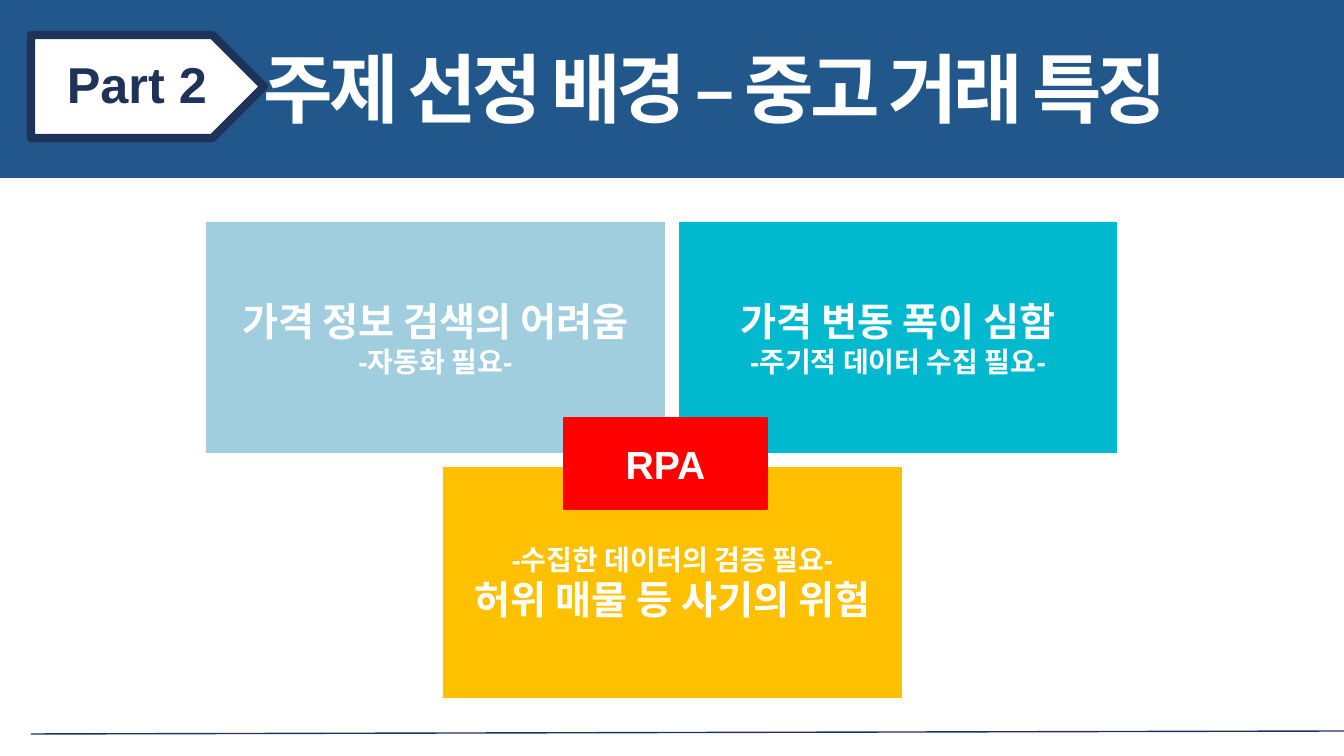
from lxml.etree import SubElement
from pptx import Presentation
from pptx.dml.color import RGBColor
from pptx.enum.shapes import MSO_CONNECTOR, MSO_SHAPE
from pptx.enum.text import MSO_ANCHOR, PP_ALIGN
from pptx.oxml.ns import qn
from pptx.util import Pt

PX = 914400 / 100.8
NAVY, BLUE, WHITE, RED = "1F3359", "22578B", "FFFFFF", "FF0000"


def px(*values):
    """Turn pixels into EMU."""
    return [round(v * PX) for v in values]


def color(value):
    """Turn a hex string into a colour."""
    return RGBColor.from_string(value)


def add_block(s, box, fill, line=None, width=1, kind=MSO_SHAPE.RECTANGLE):
    """Add a filled shape, with an outline if a line colour is given."""
    sp = s.shapes.add_shape(kind, *px(*box))
    sp.shadow.inherit = False
    sp.fill.solid()
    sp.fill.fore_color.rgb = color(fill)
    if line:
        sp.line.color.rgb = color(line)
        sp.line.width = Pt(width)
    else:
        sp.line.fill.background()
    return sp


def write(sp, lines, hue=WHITE, align=PP_ALIGN.CENTER, spacing=0, **frame):
    """Write bold lines of (text, size) into a shape."""
    tf = sp.text_frame
    for name, value in ({"word_wrap": True} | frame).items():
        setattr(tf, name, value)
    for i, (text, size) in enumerate(lines):
        p = tf.add_paragraph() if i else tf.paragraphs[0]
        p.alignment = align
        r = p.add_run()
        r.text = text
        for name, value in {"name": "Arial", "size": Pt(size), "bold": True}.items():
            setattr(r.font, name, value)
        r.font.color.rgb = color(hue)
        if spacing:
            r._r.get_or_add_rPr().set("spc", str(spacing * 100))


def add_header(s, x, y, w, h):
    """Build the title band with its part tag."""
    add_block(s, (x, y, w, h), BLUE)
    add_block(s, (x + 31, y + 35, 233, 103), WHITE, NAVY, 6, MSO_SHAPE.PENTAGON)
    tag = s.shapes.add_textbox(*px(x + 57, y + 48, 161, 72))
    write(tag, [("Part 2", 36)], NAVY, PP_ALIGN.LEFT, word_wrap=False)
    title = s.shapes.add_textbox(*px(x + 254, y + 37, 1105, 103))
    write(title, [("주제 선정 배경 – 중고 거래 특징", 54)], align=PP_ALIGN.LEFT, spacing=-3)


def add_features(s, x, y, w, h):
    """Build the three feature cards and the RPA label where they meet."""
    gap, wide = 14, 459
    card_h = (h - gap) // 2
    right = wide + gap
    low = card_h + gap
    cards = [
        (0, 0, wide, "A0CEDE", [("가격 정보 검색의 어려움", 28), ("-자동화 필요-", 20)]),
        (right, 0, w - right, "00B9CE",
         [("가격 변동 폭이 심함", 28), ("-주기적 데이터 수집 필요-", 20)]),
        (right // 2 + 1, low, wide, "FFC000",
         [("-수집한 데이터의 검증 필요-", 20), ("허위 매물 등 사기의 위험", 28)]),
    ]
    for dx, dy, card_w, fill, lines in cards:
        sp = add_block(s, (x + dx, y + dy, card_w, card_h), fill)
        write(sp, lines, vertical_anchor=MSO_ANCHOR.MIDDLE)
    sp = add_block(s, (x + 358, y + 196, 203, 91), RED, RED)
    write(sp, [("RPA", 28)], vertical_anchor=MSO_ANCHOR.MIDDLE)


def add_footer(s, x, y, w, h):
    """Draw the thin rule that rises to the right edge."""
    rule = s.shapes.add_connector(MSO_CONNECTOR.STRAIGHT, *px(x, y + h, x + w, y))
    rule.line.color.rgb = color(NAVY)
    rule.line.width = Pt(1)
    SubElement(rule._element.spPr, qn("a:effectLst"))


def main():
    """Build and save the slide."""
    prs = Presentation()
    prs.slide_width, prs.slide_height = px(1344, 756)
    s = prs.slides.add_slide(prs.slide_layouts[6])
    add_header(s, 0, 0, 1344, 178)
    add_footer(s, 31, 731, 1313, 3)
    add_features(s, 206, 222, 911, 476)
    prs.save("out.pptx")


main()
